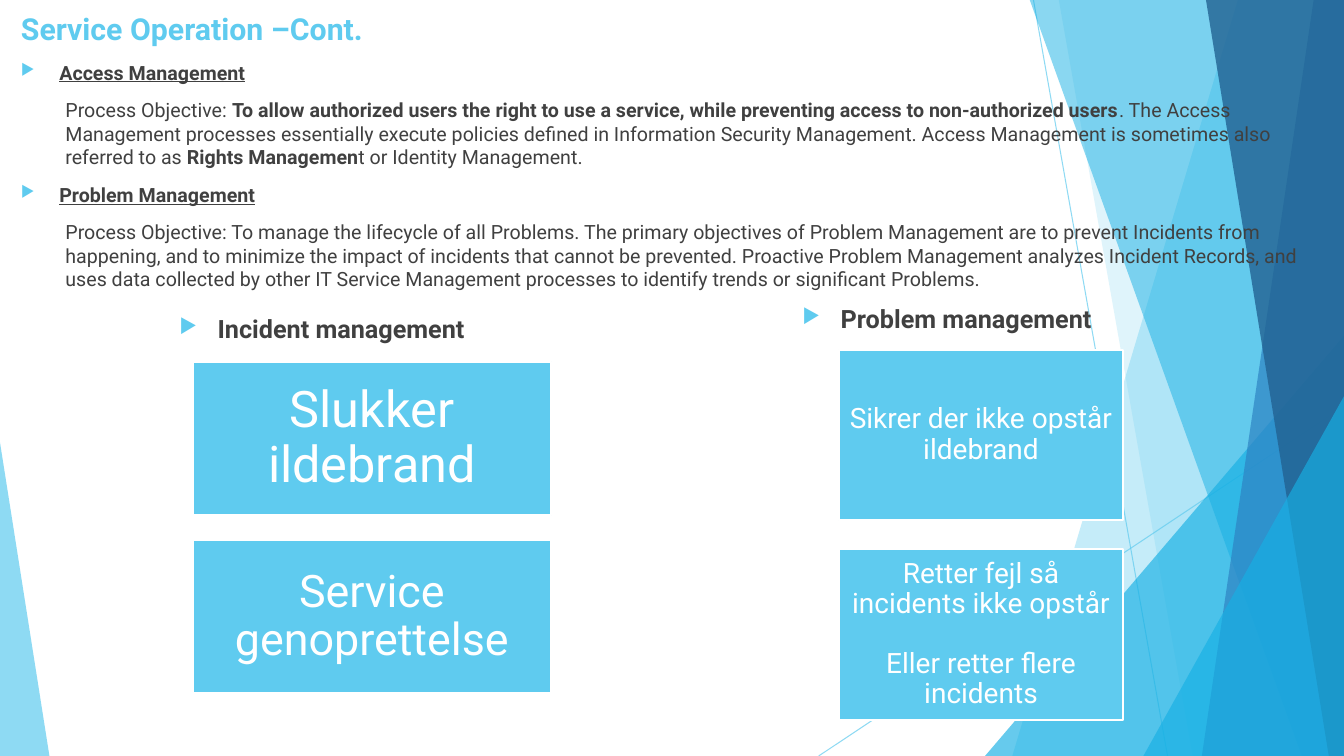
import pptx
import pptx.util
import pptx.dml.color
import pptx.enum.shapes
import pptx.enum.text
import pptx.oxml
import pptx.oxml.ns
from lxml import etree

Inches = pptx.util.Inches
Pt = pptx.util.Pt
RGB = pptx.dml.color.RGBColor
qn = pptx.oxml.ns.qn

SKY = RGB(0x5F, 0xCB, 0xEF)
CYAN = RGB(0x17, 0xB0, 0xE4)
BLUE = RGB(0x2E, 0x83, 0xC3)
NAVY = RGB(0x22, 0x62, 0x92)
GREY = RGB(0x40, 0x40, 0x40)
WHITE = RGB(0xFF, 0xFF, 0xFF)
FONT = "Roboto"
WIDE, HIGH = 13.33, 7.5


def fade(shape, alpha):
    """Make the solid colour of a fill or line partly transparent."""
    color = next(shape._element.spPr.iter(qn("a:srgbClr")))
    etree.SubElement(color, qn("a:alpha")).set("val", str(alpha * 1000))


def paint(shape, color, alpha):
    shape.shadow.inherit = False
    shape.fill.solid()
    shape.fill.fore_color.rgb = color
    shape.line.fill.background()
    fade(shape, alpha)


def add_ray(slide, start, end):
    ray = slide.shapes.add_connector(
        pptx.enum.shapes.MSO_CONNECTOR.STRAIGHT,
        *[Inches(value) for value in start + end])
    ray.line.color.rgb = SKY
    ray.line.width = Pt(0.75)
    fade(ray, 70)
    etree.SubElement(ray._element.spPr, qn("a:effectLst"))


def add_band(slide, top, foot, color, alpha):
    """Fill the area right of a slanted edge running from top to foot."""
    points = [(top, -0.01), (WIDE, -0.01), (WIDE, HIGH), (foot, HIGH)]
    points = [(Inches(x), Inches(y)) for x, y in points]
    outline = slide.shapes.build_freeform(*points[0])
    outline.add_line_segments(points[1:], close=True)
    paint(outline.convert_to_shape(), color, alpha)


def add_wedge(slide, left, top, width, peak, color, alpha):
    """Stand a triangle on the bottom edge, with its tip at peak (0 to 1)."""
    wedge = slide.shapes.add_shape(
        pptx.enum.shapes.MSO_SHAPE.ISOSCELES_TRIANGLE,
        Inches(left), Inches(top), Inches(width), Inches(HIGH - top))
    wedge.adjustments[0] = peak
    paint(wedge, color, alpha)


def add_decor(slide):
    add_ray(slide, (10.25, 0), (11.58, HIGH))
    add_ray(slide, (WIDE, 4.03), (8.12, HIGH))
    add_band(slide, 12.28, 10.04, SKY, 36)
    add_band(slide, 10.5, 11.83, SKY, 20)
    add_wedge(slide, 9.77, 3.33, 3.56, 1, CYAN, 66)
    add_band(slide, 10.21, 12.91, CYAN, 50)
    add_band(slide, 13.03, 11.92, BLUE, 70)
    add_band(slide, 11.96, 13.18, NAVY, 80)
    add_wedge(slide, 11.34, 3.93, 1.99, 1, CYAN, 66)
    add_wedge(slide, 0, 4.39, 0.49, 0, SKY, 70)


def style(run, size, color, bold=False, under=False):
    run.font.name = FONT
    run.font.size = Pt(size)
    run.font.color.rgb = color
    run.font.bold = bold
    run.font.underline = under


def add_frame(slide, left, top, width, height):
    box = slide.shapes.add_textbox(
        Inches(left), Inches(top), Inches(width), Inches(height))
    box.text_frame.word_wrap = True
    return box.text_frame


def add_title(slide, box, text):
    frame = add_frame(slide, *box)
    frame.text = text
    style(frame.paragraphs[0].runs[0], 21.6, SKY, True)


def indent(para, left, hang):
    props = para._p.get_or_add_pPr()
    props.set("marL", str(Inches(left)))
    props.set("indent", str(Inches(-hang)))
    return props


def head(para, text, size, under=False):
    """Write a bold bulleted heading."""
    para.text = text
    para.space_before = Pt(10)
    style(para.runs[0], size, GREY, True, under)
    props = indent(para, 0.38, 0.38)
    color = etree.SubElement(props, qn("a:buClr"))
    etree.SubElement(color, qn("a:srgbClr")).set("val", str(SKY))
    etree.SubElement(props, qn("a:buSzPct")).set("val", "80000")
    etree.SubElement(props, qn("a:buChar")).set("char", "▶")


def add_body(slide, box, topics):
    frame = add_frame(slide, *box)
    for index, (name, parts) in enumerate(topics):
        first = frame.add_paragraph() if index else frame.paragraphs[0]
        head(first, name, 14, True)
        para = frame.add_paragraph()
        para.level = 1
        para.space_before = Pt(10)
        indent(para, 0.44, 0)
        for text, bold in parts:
            run = para.add_run()
            run.text = text
            style(run, 14, GREY, bold)


def add_card(slide, box, lines, size, inset):
    card = slide.shapes.add_shape(
        pptx.enum.shapes.MSO_SHAPE.RECTANGLE, *[Inches(value) for value in box])
    card.shadow.inherit = False
    card.fill.solid()
    card.fill.fore_color.rgb = SKY
    card.line.color.rgb = WHITE
    card.line.width = Pt(1.5)
    frame = card.text_frame
    frame.word_wrap = True
    frame.vertical_anchor = pptx.enum.text.MSO_ANCHOR.MIDDLE
    frame.margin_left = frame.margin_right = Inches(inset)
    frame.margin_top = frame.margin_bottom = Inches(inset)
    frame.text = "\n".join(lines)
    for index, para in enumerate(frame.paragraphs):
        para.alignment = pptx.enum.text.PP_ALIGN.CENTER
        para.line_spacing = 0.9
        para.space_before = Pt(21 if index else 0)
        style(para.runs[0], size, WHITE)


def add_column(slide, label, name, stack, step, inset, cards):
    """Place a heading in the label box and cards downward from the stack box."""
    head(add_frame(slide, *label).paragraphs[0], name, 18)
    left, top, width, height = stack
    for index, (lines, size) in enumerate(cards):
        box = (left, top + index * step, width, height)
        add_card(slide, box, lines, size, inset)


TOPICS = [
    ("Access Management", [
        ("Process Objective: ", False),
        ("To allow authorized users the right to use a service, while "
         "preventing access to non-authorized users", True),
        (". The Access Management processes essentially execute policies "
         "defined in Information Security Management. Access Management is "
         "sometimes also referred to as ", False),
        ("Rights Managemen", True),
        ("t or Identity Management.", False)]),
    ("Problem Management", [
        ("Process Objective: To manage the lifecycle of all Problems. The "
         "primary objectives of Problem Management are to prevent Incidents "
         "from happening, and to minimize the impact of incidents that cannot "
         "be prevented. Proactive Problem Management analyzes Incident "
         "Records, and uses data collected by other IT Service Management "
         "processes to identify trends or significant Problems.", False)]),
]


def main():
    deck = pptx.Presentation()
    deck.slide_width, deck.slide_height = Inches(WIDE), Inches(HIGH)
    slide = deck.slides.add_slide(deck.slide_layouts[6])
    add_decor(slide)
    add_title(slide, (0.11, 0.05, 9.4, 0.47), "Service Operation –Cont.")
    add_body(slide, (0.11, 0.55, 12.91, 6.68), TOPICS)
    add_column(slide, (1.68, 3.06, 5.64, 0.46), "Incident management",
               (1.91, 3.59, 3.56, 1.52), 1.77, 0.17,
               [(["Slukker ildebrand"], 36), (["Service genoprettelse"], 32)])
    add_column(slide, (7.86, 2.96, 5.67, 0.46), "Problem management",
               (8.32, 3.47, 2.82, 1.69), 1.98, 0.08,
               [(["Sikrer der ikke opstår ildebrand"], 20),
                (["Retter fejl så incidents ikke opstår",
                  "Eller retter flere incidents"], 20)])
    deck.save("out.pptx")


if __name__ == "__main__":
    main()
